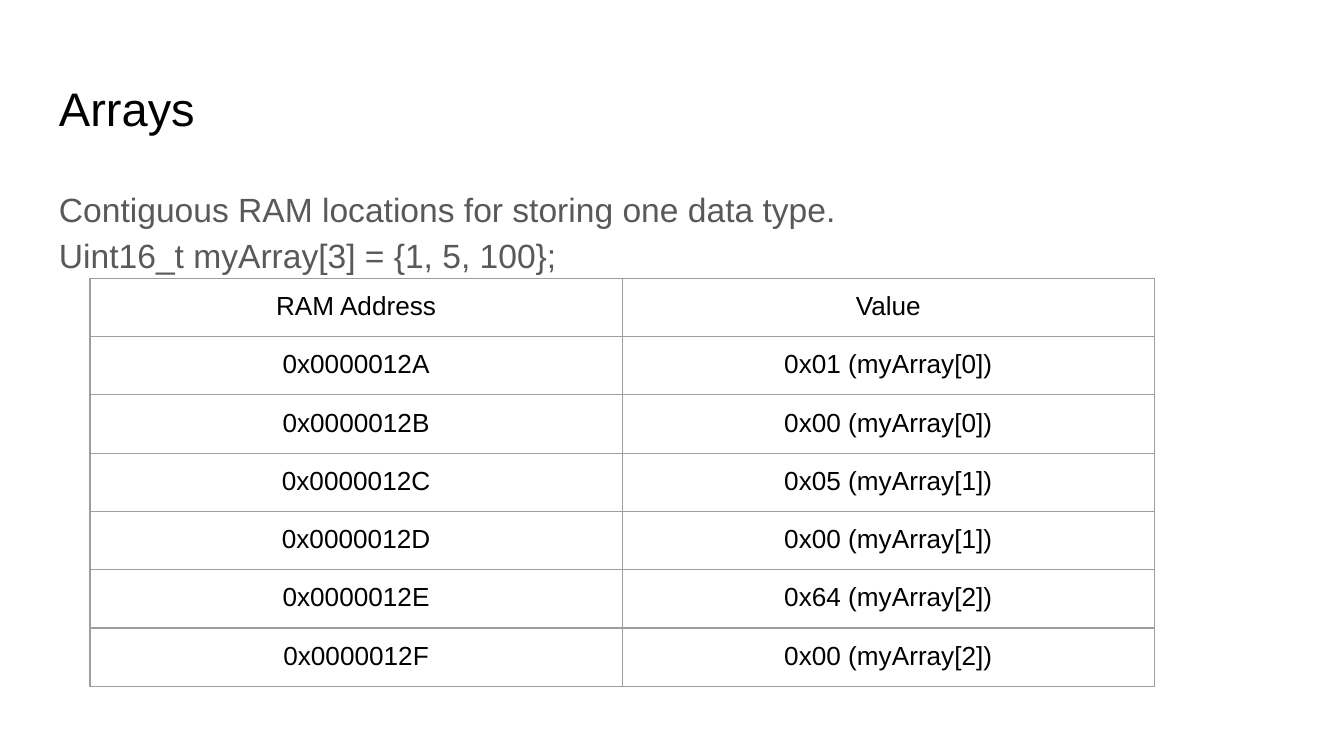
from lxml import etree
from pptx import Presentation
from pptx.dml.color import RGBColor
from pptx.enum.text import MSO_ANCHOR, PP_ALIGN
from pptx.oxml.ns import qn
from pptx.util import Inches, Pt

CENTER = PP_ALIGN.CENTER
TOP = MSO_ANCHOR.TOP

# Content
TITLE = ["Arrays"]
BODY = [
    "Contiguous RAM locations for storing one data type.",
    "Uint16_t myArray[3] = {1, 5, 100};",
]
ROWS = [
    ("RAM Address", "Value"),
    ("0x0000012A", "0x01 (myArray[0])"),
    ("0x0000012B", "0x00 (myArray[0])"),
    ("0x0000012C", "0x05 (myArray[1])"),
    ("0x0000012D", "0x00 (myArray[1])"),
    ("0x0000012E", "0x64 (myArray[2])"),
    ("0x0000012F", "0x00 (myArray[2])"),
]

# Layout in inches, on a 16:9 slide
WIDE = 10
HIGH = WIDE * 9 / 16
EDGE, INSET = 0.34, 0.1
COL, ROW = 3.96, 5 / 12
GRID_X, GRID_Y = 0.67, 2.07
LINE = "9E9E9E"
SIDES = ("a:lnL", "a:lnR", "a:lnT", "a:lnB")


def color(code):
    return RGBColor.from_string(code)


def inset(part):
    for side in ("left", "right", "top", "bottom"):
        setattr(part, f"margin_{side}", Inches(INSET))


def write(frame, lines, size, ink, **form):
    for i, line in enumerate(lines):
        para = frame.add_paragraph() if i else frame.paragraphs[0]
        for key, value in form.items():
            setattr(para, key, value)
        run = para.add_run()
        run.text = line
        for key, value in {"name": "Arial", "size": Pt(size)}.items():
            setattr(run.font, key, value)
        run.font.color.rgb = color(ink)


def add_text(slide, top, height, *text, **form):
    box = slide.shapes.add_textbox(
        Inches(EDGE), Inches(top), Inches(WIDE - 2 * EDGE), Inches(height))
    frame = box.text_frame
    frame.word_wrap = True
    frame.vertical_anchor = TOP
    inset(frame)
    write(frame, *text, **form)


def add_border(cell):
    props = cell._tc.get_or_add_tcPr()
    for i, side in enumerate(SIDES):
        line = etree.Element(qn(side), w=str(Pt(0.75)))
        fill = etree.SubElement(line, qn("a:solidFill"))
        etree.SubElement(fill, qn("a:srgbClr"), val=LINE)
        props.insert(i, line)


def add_grid(slide):
    rows, cols = len(ROWS), len(ROWS[0])
    table = slide.shapes.add_table(
        rows, cols, Inches(GRID_X), Inches(GRID_Y),
        Inches(cols * COL), Inches(rows * ROW)).table
    table.first_row = table.horz_banding = False
    for r, row in enumerate(ROWS):
        for c, text in enumerate(row):
            cell = table.cell(r, c)
            cell.fill.background()
            inset(cell)
            add_border(cell)
            write(cell.text_frame, [text], 14, "000000",
                  alignment=CENTER, line_spacing=1.0, space_before=Pt(0))


def main():
    deck = Presentation()
    deck.slide_width, deck.slide_height = Inches(WIDE), Inches(HIGH)
    slide = deck.slides.add_slide(deck.slide_layouts[6])

    # Title and body text
    add_text(slide, 0.49, 0.63, TITLE, 25.2, "000000")
    add_text(slide, 1.26, 3.74, BODY, 18, "595959", line_spacing=1.15)

    # Memory table
    add_grid(slide)
    deck.save("out.pptx")


if __name__ == "__main__":
    main()
